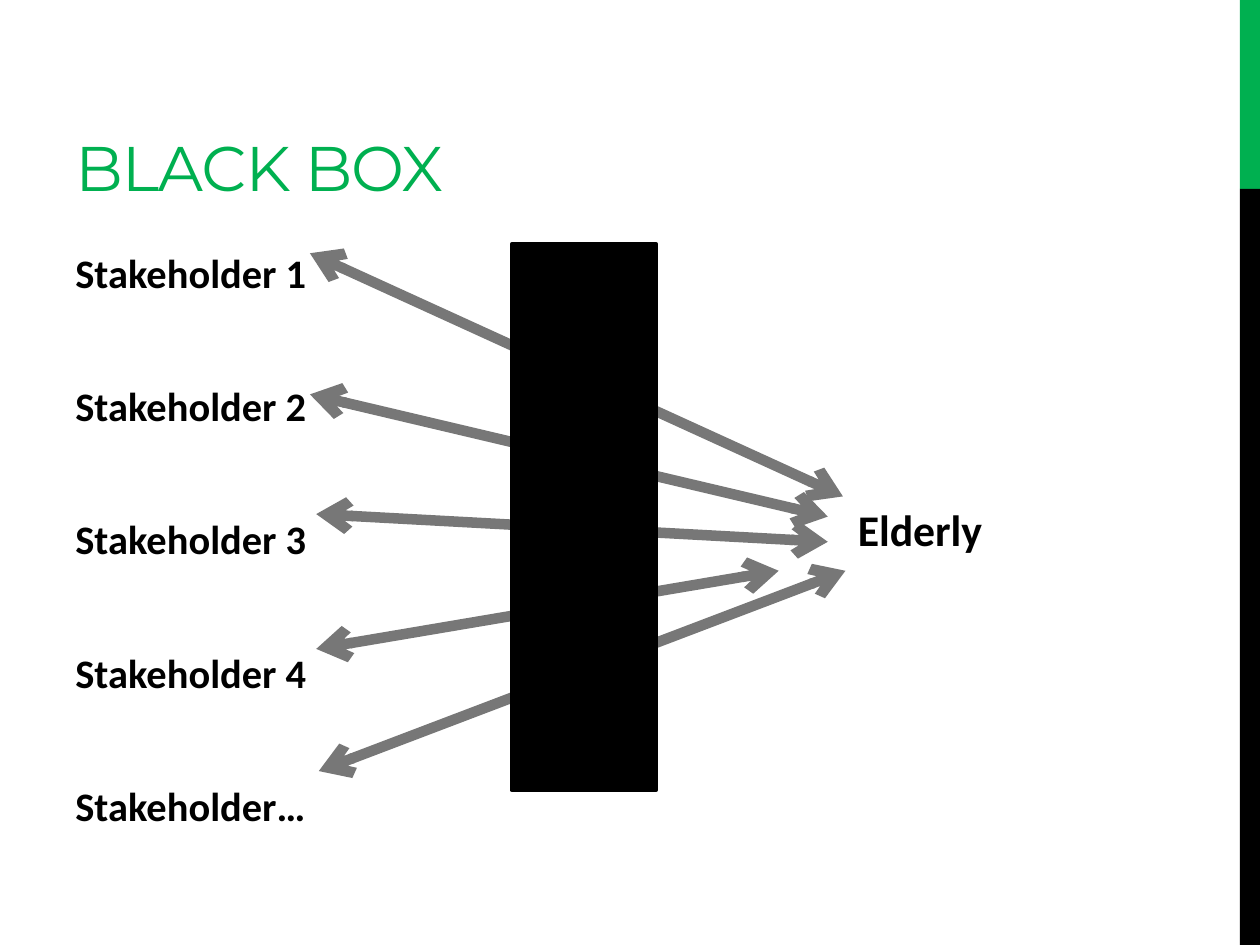
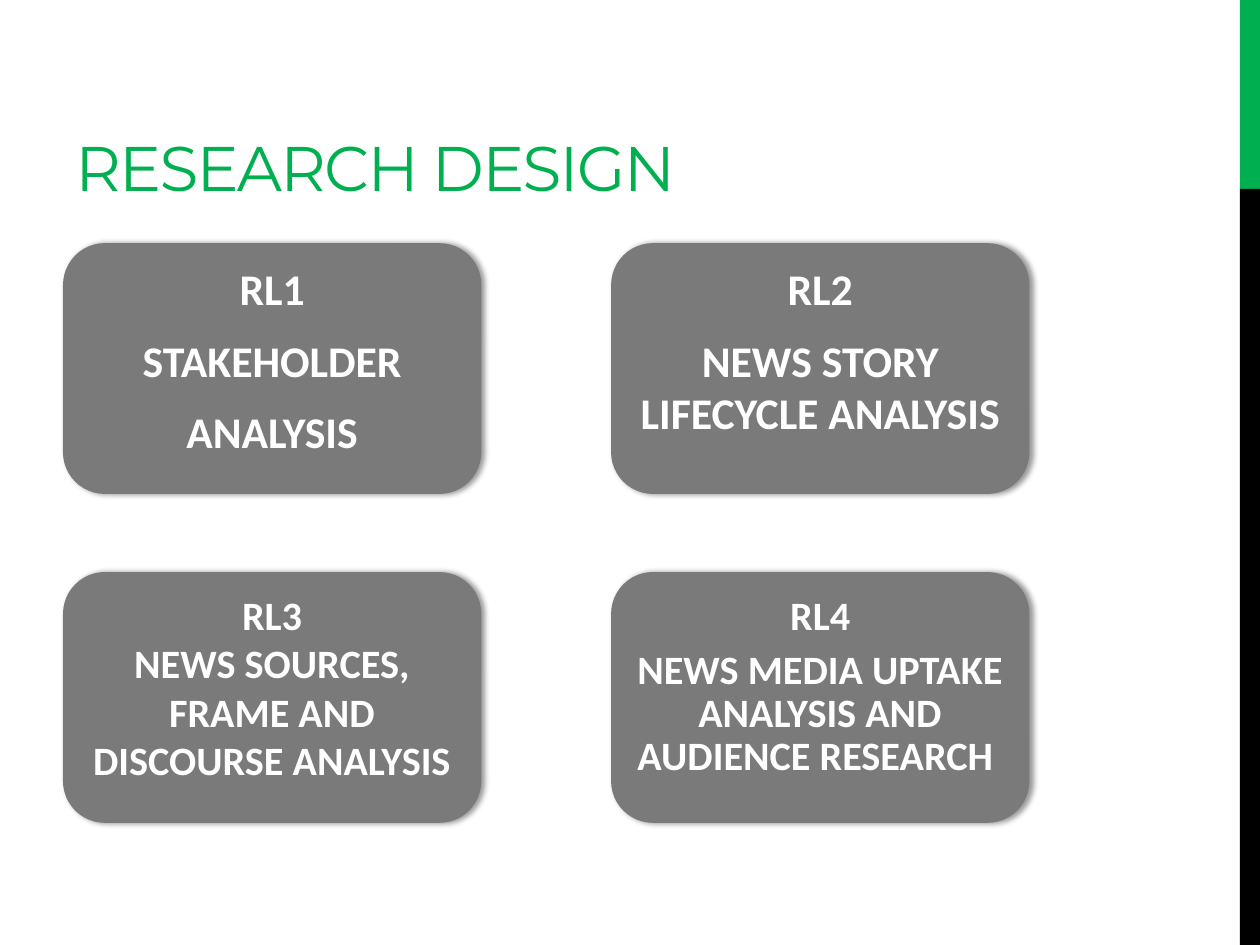
from dataclasses import dataclass
from lxml.etree import SubElement as Sub
from pptx import Presentation
from pptx.dml.color import RGBColor as RGB
from pptx.enum.shapes import MSO_CONNECTOR as Link, MSO_SHAPE as Kind
from pptx.enum.text import MSO_ANCHOR as Anchor, PP_ALIGN as Align
from pptx.oxml.ns import qn
from pptx.util import Inches, Pt


@dataclass(frozen=True)
class Theme:
    green: RGB = RGB(0x00, 0xB0, 0x50)
    black: RGB = RGB(0, 0, 0)
    white: RGB = RGB(255, 255, 255)
    arrow: RGB = RGB(0x77, 0x77, 0x77)
    card: RGB = RGB(0x7A, 0x7A, 0x7A)
    head: str = "Montserrat"
    body: str = "Calibri"
    title: float = 36
    large: float = 25
    mid: float = 23
    list: float = 23.1


theme = Theme()
COLS, ROWS = 100, 75  # square grid cells over the whole slide
UNIT = Inches(0.1)


def block(slide, left, top, wide, high, fill=None, kind=Kind.RECTANGLE):
    """Add a filled shape, or a text box if no fill is given, in grid units."""
    place = [round(n * UNIT) for n in (left, top, wide, high)]
    if fill is None:
        return slide.shapes.add_textbox(*place)
    shape = slide.shapes.add_shape(kind, *place)
    shape.shadow.inherit = False
    shape.fill.solid()
    shape.fill.fore_color.rgb = fill
    shape.line.fill.background()
    return shape


def write(shape, text, size, color=theme.black, font=theme.body, bold=True,
          align=Align.LEFT, anchor=Anchor.TOP, gap=0, lead=None, track=0):
    """Fill a shape with one paragraph per line; lead spaces the later ones."""
    frame = shape.text_frame
    frame.word_wrap = True
    frame.vertical_anchor = anchor
    for i, line in enumerate(text.split("\n")):
        para = frame.add_paragraph() if i else frame.paragraphs[0]
        para.text = line
        para.alignment = align
        if i:
            para.space_before = Pt(gap)
            para.line_spacing = lead
        for run in para.runs:
            run.font.name, run.font.size = font, Pt(size)
            run.font.bold, run.font.color.rgb = bold, color
            if track:
                run.font._element.set("spc", str(track))


deck = Presentation()
deck.slide_width, deck.slide_height = COLS * UNIT, ROWS * UNIT

# Shared side band and title
slides = []
for title, track in (("BLACK BOX", -60), ("RESEARCH DESIGN", -100)):
    slide = deck.slides.add_slide(deck.slide_layouts[6])
    block(slide, 98.4, 0, 1.6, ROWS / 5, theme.green)
    block(slide, 98.4, ROWS / 5, 1.6, ROWS * 4 / 5, theme.black)
    write(block(slide, 5, 1.7, 63.3, 15), title, theme.title, theme.green,
          theme.head, bold=False, anchor=Anchor.BOTTOM, track=track)
    slides.append(slide)
first, second = slides

# Black box: arrows pass behind the box
arrows = [
    (24.6, 20.1, 66.9, 39.4),
    (24.6, 31.3, 65.7, 41.0),
    (25.1, 40.8, 65.7, 43.0),
    (25.1, 51.5, 61.8, 45.3),
    (25.3, 61.2, 67.1, 45.3),
]
for ends in arrows:
    arrow = first.shapes.add_connector(
        Link.STRAIGHT, *[round(n * UNIT) for n in ends])
    arrow.line.color.rgb = theme.arrow
    arrow.line.width = Pt(6)
    for tip in ("a:headEnd", "a:tailEnd"):
        Sub(arrow.line._get_or_add_ln(), qn(tip), type="arrow")
    Sub(arrow._element.spPr, qn("a:effectLst"))

names = "\n".join(f"Stakeholder{end}" for end in (" 1", " 2", " 3", " 4", "…"))
write(block(first, 5, 19.2, 35, 47.8), names, theme.list, gap=48.4)
write(block(first, 67.1, 39.4, 21.3, 5.2), "Elderly", theme.large)
box = block(first, 40.6, 19.4, 11.5, 43.3, theme.black)
box.line.color.rgb = theme.black
box.line.width = Pt(2.25)

# Research design: two by two cards
cards = [
    ("RL1\nSTAKEHOLDER\nANALYSIS", theme.large, 11, None),
    ("RL2\nNEWS STORY LIFECYCLE ANALYSIS", theme.large, 11, None),
    ("RL3\vNEWS SOURCES, FRAME AND DISCOURSE ANALYSIS", theme.mid, 0, None),
    ("RL4\nNEWS MEDIA UPTAKE ANALYSIS AND AUDIENCE RESEARCH ", theme.mid, 6, 0.9),
]
for i, (text, size, gap, lead) in enumerate(cards):
    row, col = divmod(i, 2)
    card = block(second, 5 + 43.5 * col, 19.3 + 26.1 * row, 33.2, 19.9,
                 theme.card, Kind.ROUNDED_RECTANGLE)
    shade = Sub(card._element.spPr.find(qn("a:effectLst")), qn("a:outerShdw"),
                blurRad=str(Pt(3.1)), dist=str(Pt(1.8)), dir="0")
    Sub(Sub(shade, qn("a:srgbClr"), val=str(theme.black)),
        qn("a:alpha"), val="40000")
    write(card, text, size, theme.white, align=Align.CENTER, gap=gap, lead=lead)

deck.save("out.pptx")
